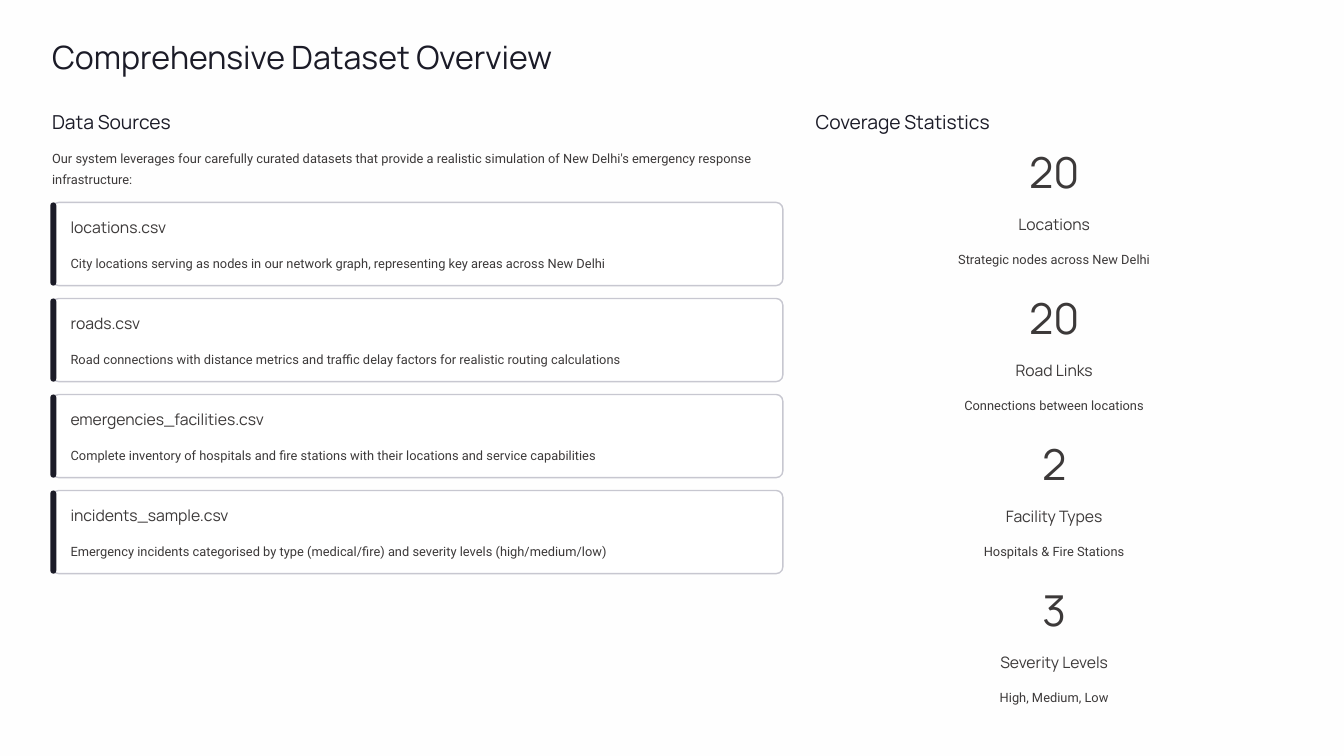
from dataclasses import dataclass

from pptx import Presentation
from pptx.dml.color import RGBColor
from pptx.enum.shapes import MSO_SHAPE as Shape
from pptx.enum.text import PP_ALIGN as Align
from pptx.util import Inches, Pt


@dataclass(frozen=True)
class Style:
    font: str
    size: float
    leading: float
    color: str


@dataclass(frozen=True)
class Theme:
    background: str = "FEFEFE"
    card: str = "FFFFFF"
    border: str = "C7C7D0"
    accent: str = "1B1B27"
    title: Style = Style("Manrope", 27.5, 34.5, "1B1B27")
    heading: Style = Style("Manrope", 16.5, 20.5, "1B1B27")
    label: Style = Style("Manrope", 13.5, 17, "3C3939")
    body: Style = Style("Roboto", 11, 17.5, "3C3939")
    number: Style = Style("Manrope", 36.5, 36.5, "3C3939")


THEME = Theme()

SOURCES = [
    ("locations.csv",
     "City locations serving as nodes in our network graph, representing key areas across New Delhi"),
    ("roads.csv",
     "Road connections with distance metrics and traffic delay factors for realistic routing calculations"),
    ("emergencies_facilities.csv",
     "Complete inventory of hospitals and fire stations with their locations and service capabilities"),
    ("incidents_sample.csv",
     "Emergency incidents categorised by type (medical/fire) and severity levels (high/medium/low)"),
]

STATISTICS = [
    ("20", "Locations", "Strategic nodes across New Delhi"),
    ("20", "Road Links", "Connections between locations"),
    ("2", "Facility Types", "Hospitals & Fire Stations"),
    ("3", "Severity Levels", "High, Medium, Low"),
]


def rgb(color):
    return RGBColor.from_string(color)


def add_text(s, text, style, x, y, w, h, align=Align.LEFT, wrap=False):
    tf = s.shapes.add_textbox(Inches(x), Inches(y), Inches(w), Inches(h)).text_frame
    tf.word_wrap = wrap
    tf.margin_left = tf.margin_right = tf.margin_top = tf.margin_bottom = 0
    p = tf.paragraphs[0]
    p.text = text
    p.alignment = align
    p.line_spacing = Pt(style.leading)
    p.font.name = style.font
    p.font.size = Pt(style.size)
    p.font.color.rgb = rgb(style.color)


def add_rounded(s, x, y, w, h, radius, fill, line=None):
    sp = s.shapes.add_shape(Shape.ROUNDED_RECTANGLE, Inches(x), Inches(y), Inches(w), Inches(h))
    sp.adjustments[0] = radius
    sp.shadow.inherit = False
    sp.fill.solid()
    sp.fill.fore_color.rgb = rgb(fill)
    if line:
        sp.line.color.rgb = rgb(line)
        sp.line.width = Pt(1.2)
    else:
        sp.line.fill.background()


def add_source_card(s, name, description, x, y, w, h):
    add_rounded(s, x, y, w, h, 0.08, THEME.card, THEME.border)
    add_rounded(s, x - 0.02, y, 0.07, h, 0.5, THEME.accent)
    add_text(s, name, THEME.label, x + 0.22, y + 0.17, 2.33, 0.24)
    add_text(s, description, THEME.body, x + 0.22, y + 0.57, w - 0.39, 0.25)


def add_data_sources(s, x, y, w):
    add_text(s, "Data Sources", THEME.heading, x, y, 2.32, 0.29)
    add_text(s, "Our system leverages four carefully curated datasets that provide a realistic "
             "simulation of New Delhi's emergency response infrastructure:",
             THEME.body, x, y + 0.44, w, 0.5, wrap=True)
    for i, (name, description) in enumerate(SOURCES):
        add_source_card(s, name, description, x, y + 1.11 + i * 1.143, w, 0.99)


def add_statistic(s, number, label, detail, x, y, w):
    add_text(s, number, THEME.number, x, y, w, 0.51, Align.CENTER)
    add_text(s, label, THEME.label, x + (w - 1.94) / 2, y + 0.71, 1.94, 0.24, Align.CENTER)
    add_text(s, detail, THEME.body, x, y + 1.1, w, 0.25, Align.CENTER)


def add_coverage(s, x, y, w):
    add_text(s, "Coverage Statistics", THEME.heading, x, y, 2.32, 0.29)
    for i, (number, label, detail) in enumerate(STATISTICS):
        add_statistic(s, number, label, detail, x, y + 0.54 + i * 1.737, w)


def main():
    prs = Presentation()
    prs.slide_width, prs.slide_height = Inches(16), Inches(9)
    s = prs.slides.add_slide(prs.slide_layouts[6])
    s.background.fill.solid()
    s.background.fill.fore_color.rgb = rgb(THEME.background)
    add_text(s, "Comprehensive Dataset Overview", THEME.title, 0.62, 0.43, 6.07, 0.48)
    add_data_sources(s, 0.62, 1.3, 8.7)
    add_coverage(s, 9.71, 1.3, 5.68)
    prs.save("out.pptx")


if __name__ == "__main__":
    main()
